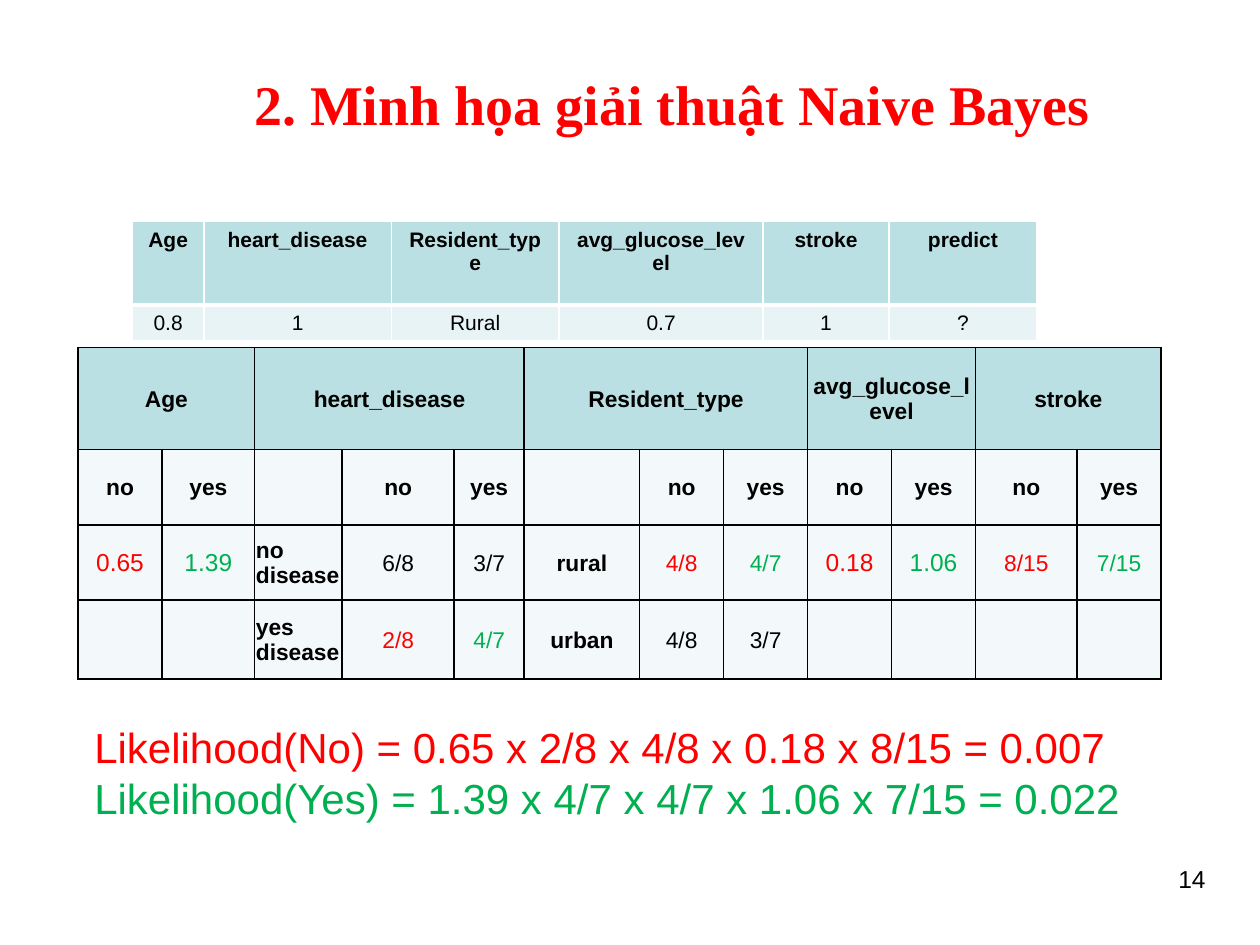
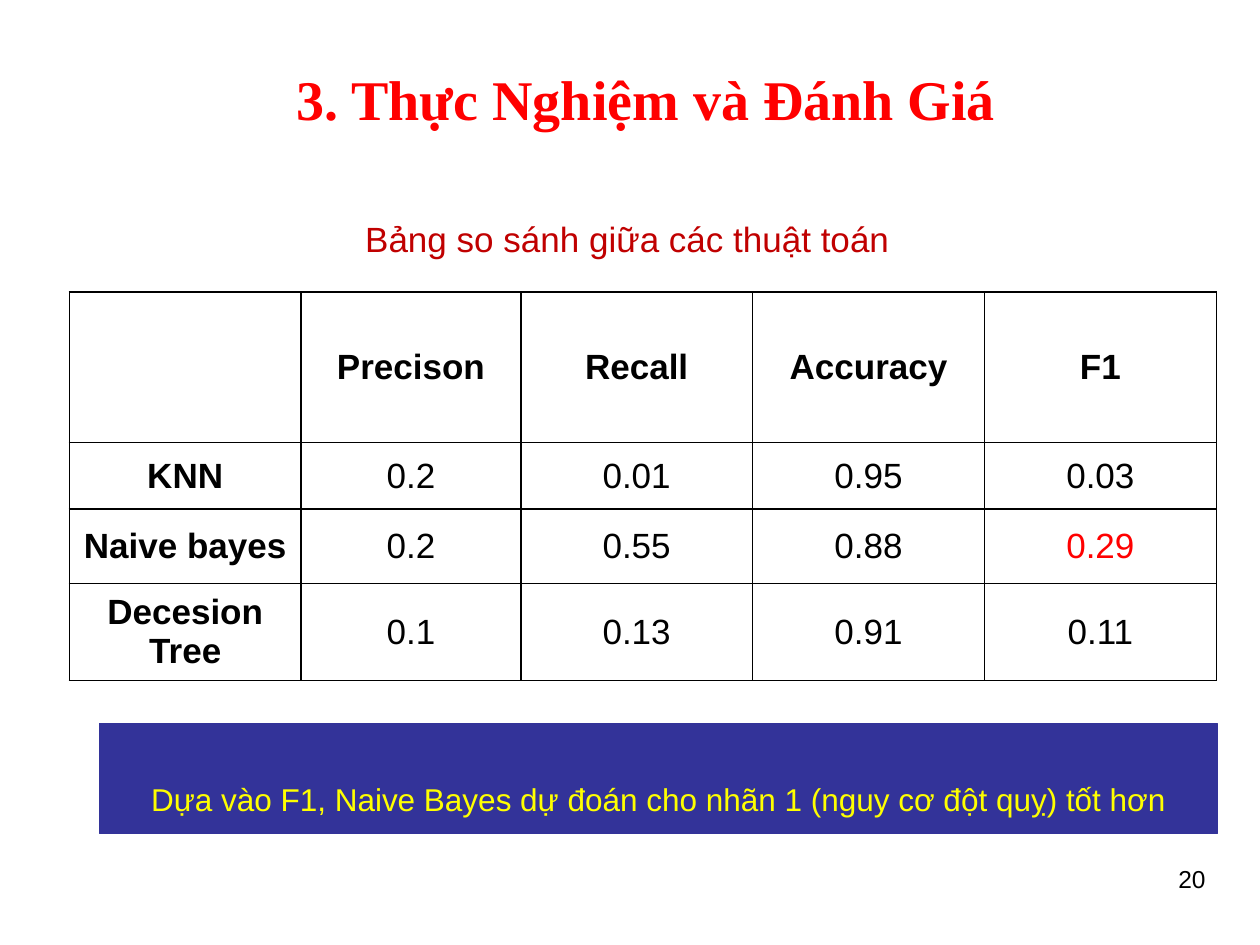
from dataclasses import dataclass

from lxml import etree
from pptx import Presentation
from pptx.dml.color import RGBColor
from pptx.enum.shapes import MSO_SHAPE
from pptx.enum.text import MSO_ANCHOR, MSO_AUTO_SIZE, PP_ALIGN
from pptx.oxml.ns import qn
from pptx.util import Pt

LEFT, CENTER, RIGHT = PP_ALIGN.LEFT, PP_ALIGN.CENTER, PP_ALIGN.RIGHT
TOP, MIDDLE, BOTTOM = MSO_ANCHOR.TOP, MSO_ANCHOR.MIDDLE, MSO_ANCHOR.BOTTOM
RECTANGLE = MSO_SHAPE.RECTANGLE
NO_AUTOFIT = MSO_AUTO_SIZE.NONE

BLACK = RGBColor(0x00, 0x00, 0x00)
WHITE = RGBColor(0xFF, 0xFF, 0xFF)
RED = RGBColor(0xFF, 0x00, 0x00)
GREEN = RGBColor(0x00, 0xB0, 0x50)
DARK_RED = RGBColor(0xC0, 0x00, 0x00)
YELLOW = RGBColor(0xFF, 0xFF, 0x00)
NAVY = RGBColor(0x33, 0x33, 0x99)
HEADER_TEAL = RGBColor(0xBB, 0xE0, 0xE3)
PALE_TEAL = RGBColor(0xE7, 0xF3, 0xF4)
FAINT_TEAL = RGBColor(0xF3, 0xF9, 0xFA)

BODY_FONT = "Arial"
TITLE_FONT = "Times New Roman"
TITLE_ONLY = 5


@dataclass(frozen=True)
class Box:
    left: float
    top: float
    width: float
    height: float

    def lengths(self) -> tuple:
        return Pt(self.left), Pt(self.top), Pt(self.width), Pt(self.height)


@dataclass(frozen=True)
class Words:
    text: str
    size: float
    color: RGBColor = BLACK
    bold: bool = False
    align: PP_ALIGN = CENTER
    font: str = BODY_FONT


@dataclass(frozen=True)
class Grid:
    left: float
    top: float
    widths: list
    heights: list
    border: RGBColor
    fills: list
    header_rule: float = 1
    anchor: MSO_ANCHOR = MIDDLE
    margins: tuple = (7.2, 3.6, 7.2, 3.6)
    header_spans: tuple = ()


def write(frame, lines: list) -> None:
    for index, words in enumerate(lines):
        paragraph = frame.paragraphs[0] if index == 0 else frame.add_paragraph()
        paragraph.alignment = words.align
        run = paragraph.add_run()
        run.text = words.text
        run.font.name = words.font
        run.font.size = Pt(words.size)
        run.font.bold = words.bold
        run.font.color.rgb = words.color


def add_text(slide, box: Box, *lines: Words) -> None:
    frame = slide.shapes.add_textbox(*box.lengths()).text_frame
    frame.word_wrap = True
    write(frame, lines)


def start_slide(deck, title: str, title_box: Box, align: PP_ALIGN, number: str):
    slide = deck.slides.add_slide(deck.slide_layouts[TITLE_ONLY])
    heading = slide.shapes.title
    heading.left, heading.top, heading.width, heading.height = title_box.lengths()
    frame = heading.text_frame
    frame.auto_size = NO_AUTOFIT
    frame.vertical_anchor = MIDDLE
    write(frame, [Words(title, 32, RED, True, align, TITLE_FONT)])
    add_text(slide, Box(528, 490, 168, 44), Words(number, 14, align=RIGHT))
    return slide


def draw_borders(cell, color: RGBColor, top: float, bottom: float) -> None:
    properties = cell._tc.get_or_add_tcPr()
    for side, width in (("L", 1), ("R", 1), ("T", top), ("B", bottom)):
        line = etree.SubElement(properties, qn(f"a:ln{side}"), w=str(Pt(width)))
        fill = etree.SubElement(line, qn("a:solidFill"))
        etree.SubElement(fill, qn("a:srgbClr"), val=str(color))


def add_grid(slide, grid: Grid, rows: list) -> None:
    box = Box(grid.left, grid.top, sum(grid.widths), sum(grid.heights))
    table = slide.shapes.add_table(len(rows), len(grid.widths), *box.lengths()).table
    table.first_row = False
    table.horz_banding = False
    for column, width in zip(table.columns, grid.widths):
        column.width = Pt(width)
    for row, height in zip(table.rows, grid.heights):
        row.height = Pt(height)
    for row_index, row in enumerate(rows):
        for column_index, words in enumerate(row):
            cell = table.cell(row_index, column_index)
            draw_borders(
                cell,
                grid.border,
                grid.header_rule if row_index == 1 else 1,
                grid.header_rule if row_index == 0 else 1,
            )
            fill = grid.fills[row_index]
            if fill is None:
                cell.fill.background()
            else:
                cell.fill.solid()
                cell.fill.fore_color.rgb = fill
            cell.vertical_anchor = grid.anchor
            margins = [Pt(margin) for margin in grid.margins]
            (cell.margin_left, cell.margin_top,
             cell.margin_right, cell.margin_bottom) = margins
            if words:
                write(cell.text_frame, [words])
    start = 0
    for span in grid.header_spans:
        table.cell(0, start).merge(table.cell(0, start + span - 1))
        start += span


def label(text: str, color: RGBColor = BLACK, align: PP_ALIGN = CENTER) -> Words:
    return Words(text, 13, color, True, align)


def ratio(text: str, color: RGBColor = BLACK) -> Words:
    return Words(text, 13, color)


def density(text: str, color: RGBColor) -> Words:
    return Words(text, 14, color)


def build_illustration(deck) -> None:
    slide = start_slide(deck, "2. Minh họa giải thuật Naive Bayes",
                        Box(138, 22, 558, 74), LEFT, "14")

    features = ["Age", "heart_disease", "Resident_type", "avg_glucose_level",
                "stroke", "predict"]
    sample = ["0.8", "1", "Rural", "0.7", "1", "?"]
    sample_grid = Grid(
        75.6, 126.7, [41, 107, 96, 116.5, 72, 84.5], [47.5, 20.5], WHITE,
        [HEADER_TEAL, PALE_TEAL], header_rule=3, anchor=TOP,
        margins=(7.2, 3.6, 7.2, 0),
    )
    add_grid(slide, sample_grid, [
        [Words(text, 12, bold=True) for text in features],
        [Words(text, 12) for text in sample],
    ])

    add_text(
        slide, Box(46.8, 409, 626.4, 65.5),
        Words("Likelihood(No) = 0.65 x 2/8 x 4/8 x 0.18 x 8/15 = 0.007",
              24, RED, align=LEFT),
        Words("Likelihood(Yes) = 1.39 x 4/7 x 4/7 x 1.06 x 7/15 = 0.022",
              24, GREEN, align=LEFT),
    )

    spans = (2, 3, 3, 2, 2)
    header = []
    classes = []
    for feature, span in zip(features, spans):
        header += [label(feature)] + [None] * (span - 1)
        classes += [None] * (span - 2) + [label("no"), label("yes")]
    first_values = [
        density("0.65", RED), density("1.39", GREEN),
        label("no disease", align=LEFT), ratio("6/8"), ratio("3/7"),
        label("rural"), ratio("4/8", RED), ratio("4/7", GREEN),
        density("0.18", RED), density("1.06", GREEN),
        ratio("8/15", RED), ratio("7/15", GREEN),
    ]
    second_values = [
        None, None,
        label("yes disease", align=LEFT), ratio("2/8", RED), ratio("4/7", GREEN),
        label("urban"), ratio("4/8"), ratio("3/7"),
        None, None, None, None,
    ]
    likelihood_grid = Grid(
        44.6, 198.7, [48, 53, 50, 64, 40, 66, 48, 48, 48, 48, 58, 48],
        [58.3, 43, 43, 45], BLACK, [HEADER_TEAL] + [FAINT_TEAL] * 3,
        margins=(0.7, 0.7, 0.7, 0), header_spans=spans,
    )
    add_grid(slide, likelihood_grid, [header, classes, first_values, second_values])


def build_evaluation(deck) -> None:
    slide = start_slide(deck, "3. Thực Nghiệm và Đánh Giá",
                        Box(160.5, 33, 417.5, 46), CENTER, "20")
    slide.shapes.title.text_frame.word_wrap = False

    scores = {
        "KNN": ["0.2", "0.01", "0.95", "0.03"],
        "Naive bayes": ["0.2", "0.55", "0.88", "0.29"],
        "Decesion Tree": ["0.1", "0.13", "0.91", "0.11"],
    }
    best_f1 = "0.29"
    metrics = ["Precison", "Recall", "Accuracy", "F1"]
    rows = [[None] + [Words(metric, 20, bold=True) for metric in metrics]]
    for algorithm, values in scores.items():
        rows.append([Words(algorithm, 20, bold=True)] + [
            Words(value, 20, RED if value == best_f1 else BLACK) for value in values
        ])
    score_grid = Grid(39.6, 167, [132.5, 125.5, 132.5, 132.5, 132.5],
                      [86, 38, 42.5, 55.5], BLACK, [None] * 4)
    add_grid(slide, score_grid, rows)

    add_text(slide, Box(201.6, 121, 518.4, 31.5),
             Words("Bảng so sánh giữa các thuật toán", 20, DARK_RED, align=LEFT))

    conclusion = slide.shapes.add_shape(RECTANGLE, *Box(56.8, 413.7, 639, 62.6).lengths())
    conclusion.shadow.inherit = False
    conclusion.fill.solid()
    conclusion.fill.fore_color.rgb = NAVY
    conclusion.line.color.rgb = NAVY
    conclusion.line.width = Pt(0.5)
    frame = conclusion.text_frame
    frame.word_wrap = True
    frame.vertical_anchor = BOTTOM
    frame.margin_bottom = Pt(9)
    write(frame, [Words(
        "Dựa vào F1, Naive Bayes dự đoán cho nhãn 1 (nguy cơ đột quỵ) tốt hơn",
        18, YELLOW)])


def main() -> None:
    deck = Presentation()
    deck.slide_width, deck.slide_height = Pt(720), Pt(540)
    build_illustration(deck)
    build_evaluation(deck)
    deck.save("out.pptx")


if __name__ == "__main__":
    main()
